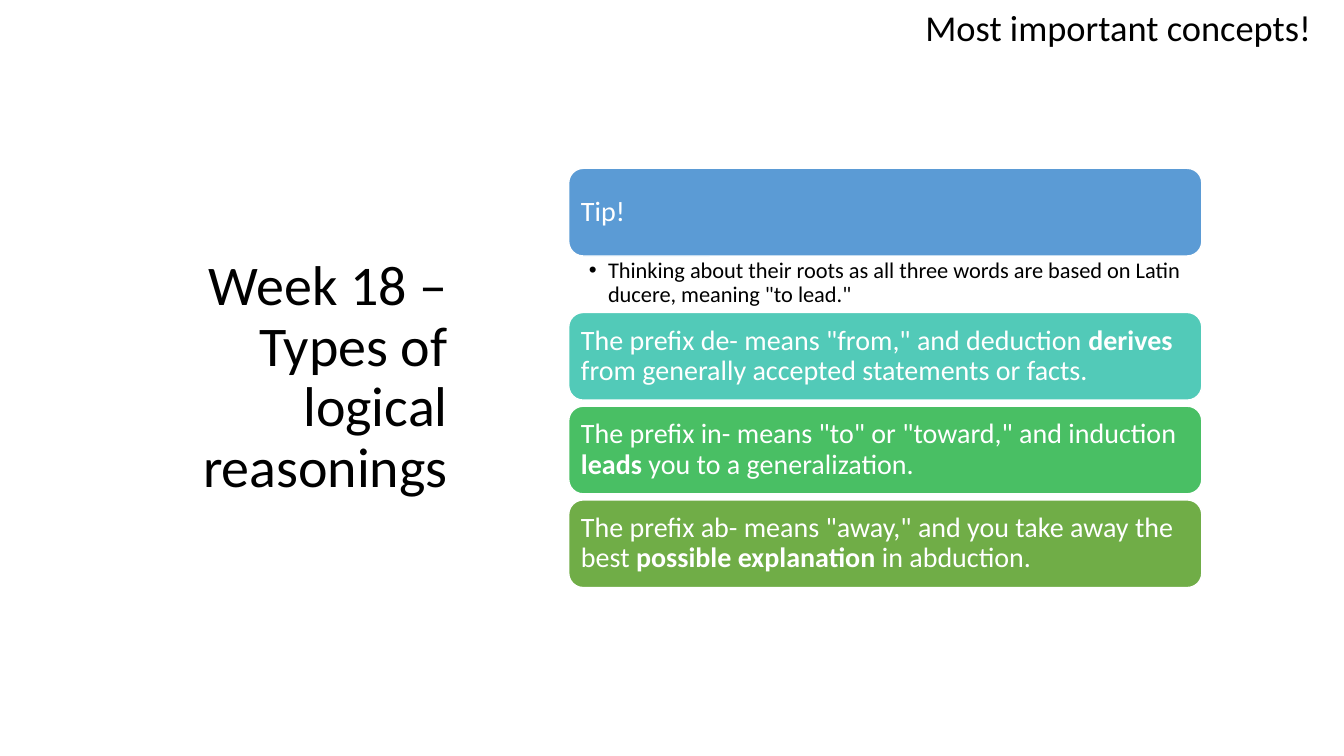
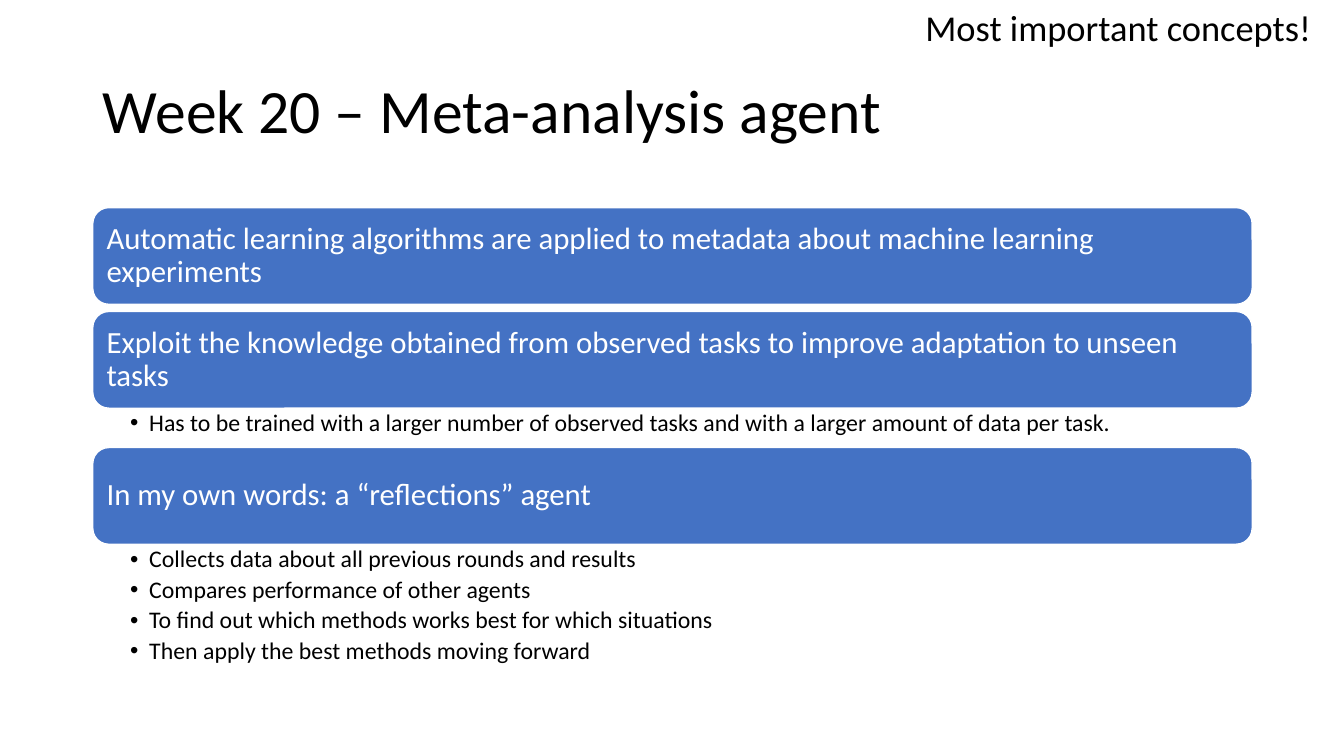
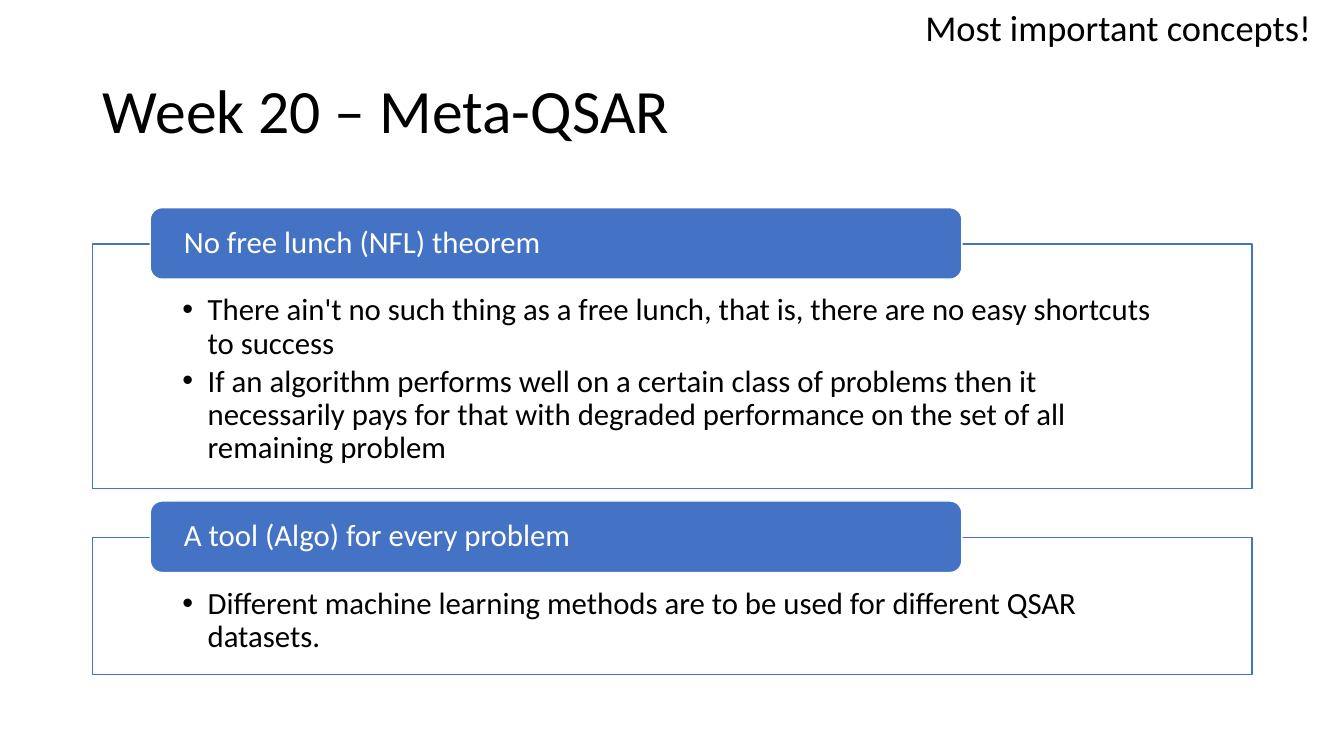
from dataclasses import dataclass

from lxml.etree import SubElement
from pptx import Presentation
from pptx.dml.color import RGBColor
from pptx.enum.shapes import MSO_SHAPE
from pptx.enum.text import MSO_ANCHOR, MSO_AUTO_SIZE, PP_ALIGN
from pptx.oxml.ns import qn
from pptx.util import Inches, Pt


# Shared style
@dataclass(frozen=True)
class Theme:
    font: str = "Calibri"
    ink: str = "000000"
    paper: str = "FFFFFF"
    blue: str = "4472C4"
    sky: str = "5B9BD5"
    teal: str = "52CAB8"
    green: str = "49BF64"
    olive: str = "70AD47"
    title_size: float = 44
    side_title_size: float = 40
    tag_size: float = 26
    body_size: float = 22
    small_body_size: float = 20
    note_size: float = 17
    small_note_size: float = 16
    line_spacing: float = 0.9


THEME = Theme()
TAG = "Most important concepts!"
LEFT, WIDTH = 0.92, 11.5


def write_text(frame, paragraphs, *, size, color=THEME.ink, align=PP_ALIGN.LEFT,
               anchor=MSO_ANCHOR.TOP, insets=(0.1, 0.05, 0.1, 0.05),
               hang=0, space_after=0):
    """Fill a text frame; **stars** mark bold words, hang adds bullets."""
    frame.word_wrap = True
    frame.auto_size = MSO_AUTO_SIZE.NONE
    frame.vertical_anchor = anchor
    (frame.margin_left, frame.margin_top,
     frame.margin_right, frame.margin_bottom) = map(Inches, insets)
    for index, content in enumerate(paragraphs):
        paragraph = frame.paragraphs[0] if index == 0 else frame.add_paragraph()
        if hang:
            properties = paragraph._p.get_or_add_pPr()
            properties.set("marL", str(Inches(hang)))
            properties.set("indent", str(-Inches(hang)))
            SubElement(properties, qn("a:buFont")).set("typeface", "Arial")
            SubElement(properties, qn("a:buChar")).set("char", "•")
        paragraph.alignment = align
        paragraph.line_spacing = THEME.line_spacing
        paragraph.space_after = Pt(space_after)
        for position, words in enumerate(content.split("**")):
            run = paragraph.add_run()
            run.text = words
            run.font.name = THEME.font
            run.font.size = Pt(size)
            run.font.bold = position % 2 == 1
            run.font.color.rgb = RGBColor.from_string(color)


class Deck:
    def __init__(self, theme):
        self.theme = theme
        self.presentation = Presentation()
        self.presentation.slide_width = Inches(13.33)
        self.presentation.slide_height = Inches(7.5)
        self.slide = None

    def start_slide(self, title, box=(LEFT, 0.4, WIDTH, 1.45), **title_format):
        """Add a slide with its title and the corner tag."""
        layout = self.presentation.slide_layouts[5]
        self.slide = self.presentation.slides.add_slide(layout)
        heading = self.slide.shapes.title
        heading.left, heading.top, heading.width, heading.height = map(Inches, box)
        write_text(heading.text_frame, [title], anchor=MSO_ANCHOR.MIDDLE,
                   **{"size": self.theme.title_size, **title_format})
        self.text_box((9.08, 0.05, 4.23, 0.61), [TAG], size=self.theme.tag_size)

    def text_box(self, box, paragraphs, **text_format):
        holder = self.slide.shapes.add_textbox(*map(Inches, box))
        write_text(holder.text_frame, paragraphs, **text_format)

    def panel(self, kind, box, paragraphs, fill, line, **text_format):
        shape = self.slide.shapes.add_shape(kind, *map(Inches, box))
        shape.shadow.inherit = False
        shape.fill.solid()
        shape.fill.fore_color.rgb = RGBColor.from_string(fill)
        shape.line.color.rgb = RGBColor.from_string(line)
        shape.line.width = Pt(1)
        write_text(shape.text_frame, paragraphs, **text_format)

    def bar(self, box, label, fill, **text_format):
        self.panel(MSO_SHAPE.ROUNDED_RECTANGLE, box, [label], fill, self.theme.paper,
                   color=self.theme.paper, anchor=MSO_ANCHOR.MIDDLE, **text_format)

    def bar_stack(self, sections, *, left, top, width, bar_height, gap,
                  size, inset, note_size, note_insets):
        """Stack bars downwards; notes, where present, replace the gap."""
        for label, fill, notes, notes_height in sections:
            self.bar((left, top, width, bar_height), label, fill,
                     size=size, insets=(inset,) * 4)
            top += bar_height
            if notes:
                self.text_box((left, top, width, notes_height), notes,
                              size=note_size, insets=note_insets, hang=0.19,
                              space_after=round(note_size * 0.2, 1))
            top += notes_height or gap

    def tabbed_frames(self, sections, *, top, gap):
        """Draw outlined frames, each with a heading tab on its top edge."""
        size = self.theme.body_size
        for heading, points, height in sections:
            self.panel(MSO_SHAPE.RECTANGLE, (LEFT, top, WIDTH, height), points,
                       self.theme.paper, self.theme.blue, size=size, hang=0.25,
                       insets=(0.89, 0.5, 0.89, 0.17), space_after=size * 0.15)
            self.bar((1.49, top - 0.36, 8.05, 0.71), heading, self.theme.blue,
                     size=size, insets=(0.3, 0, 0.3, 0))
            top += height + gap


def main():
    deck = Deck(THEME)

    # Types of logical reasoning
    deck.start_slide("Week 18 – Types of logical reasonings", (LEFT, 1.17, 3.62, 5.17),
                     size=THEME.side_title_size, align=PP_ALIGN.RIGHT)
    deck.bar_stack([
        ("Tip!", THEME.sky,
         ["Thinking about their roots as all three words are based on Latin ducere, "
          'meaning "to lead."'], 0.56),
        ('The prefix de- means "from," and deduction **derives** from generally '
         "accepted statements or facts.", THEME.teal, [], 0),
        ('The prefix in- means "to" or "toward," and induction **leads** you to a '
         "generalization.", THEME.green, [], 0),
        ('The prefix ab- means "away," and you take away the best '
         "**possible explanation** in abduction.", THEME.olive, [], 0),
    ], left=5.64, top=1.67, width=6.28, bar_height=0.87, gap=0.06,
        size=THEME.small_body_size, inset=0.08,
        note_size=THEME.small_note_size, note_insets=(0.2, 0.03, 0.16, 0.03))

    # Meta-analysis agent
    deck.start_slide("Week 20 – Meta-analysis agent")
    deck.bar_stack([
        ("Automatic learning algorithms are applied to metadata about machine "
         "learning experiments", THEME.blue, [], 0),
        ("Exploit the knowledge obtained from observed tasks to improve adaptation "
         "to unseen tasks", THEME.blue,
         ["Has to be trained with a larger number of observed tasks and with a larger "
          "amount of data per task."], 0.39),
        ("In my own words: a “reflections” agent", THEME.blue,
         ["Collects data about all previous rounds and results",
          "Compares performance of other agents",
          "To find out which methods works best for which situations",
          "Then apply the best methods moving forward"], 1.29),
    ], left=LEFT, top=2.06, width=WIDTH, bar_height=0.96, gap=0.07,
        size=THEME.body_size, inset=0.09,
        note_size=THEME.note_size, note_insets=(0.37, 0.03, 0.17, 0.03))

    # Meta-QSAR
    deck.start_slide("Week 20 – Meta-QSAR")
    deck.tabbed_frames([
        ("No free lunch (NFL) theorem",
         ["There ain't no such thing as a free lunch, that is, there are no easy "
          "shortcuts to success",
          "If an algorithm performs well on a certain class of problems then it "
          "necessarily pays for that with degraded performance on the set of all "
          "remaining problem"], 2.43),
        ("A tool (Algo) for every problem",
         ["Different machine learning methods are to be used for different QSAR "
          "datasets."], 1.36),
    ], top=2.42, gap=0.48)

    deck.presentation.save("out.pptx")


if __name__ == "__main__":
    main()
